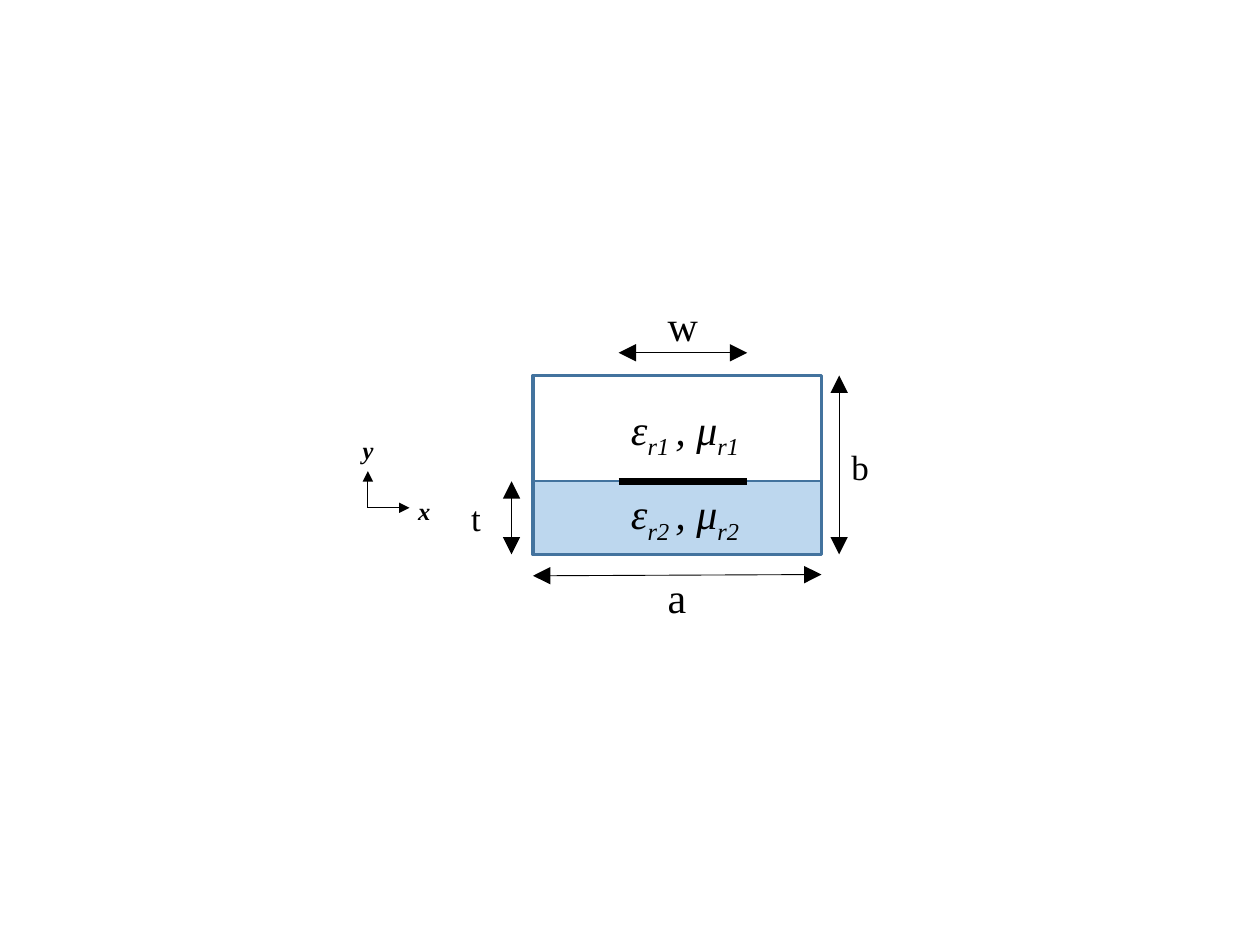
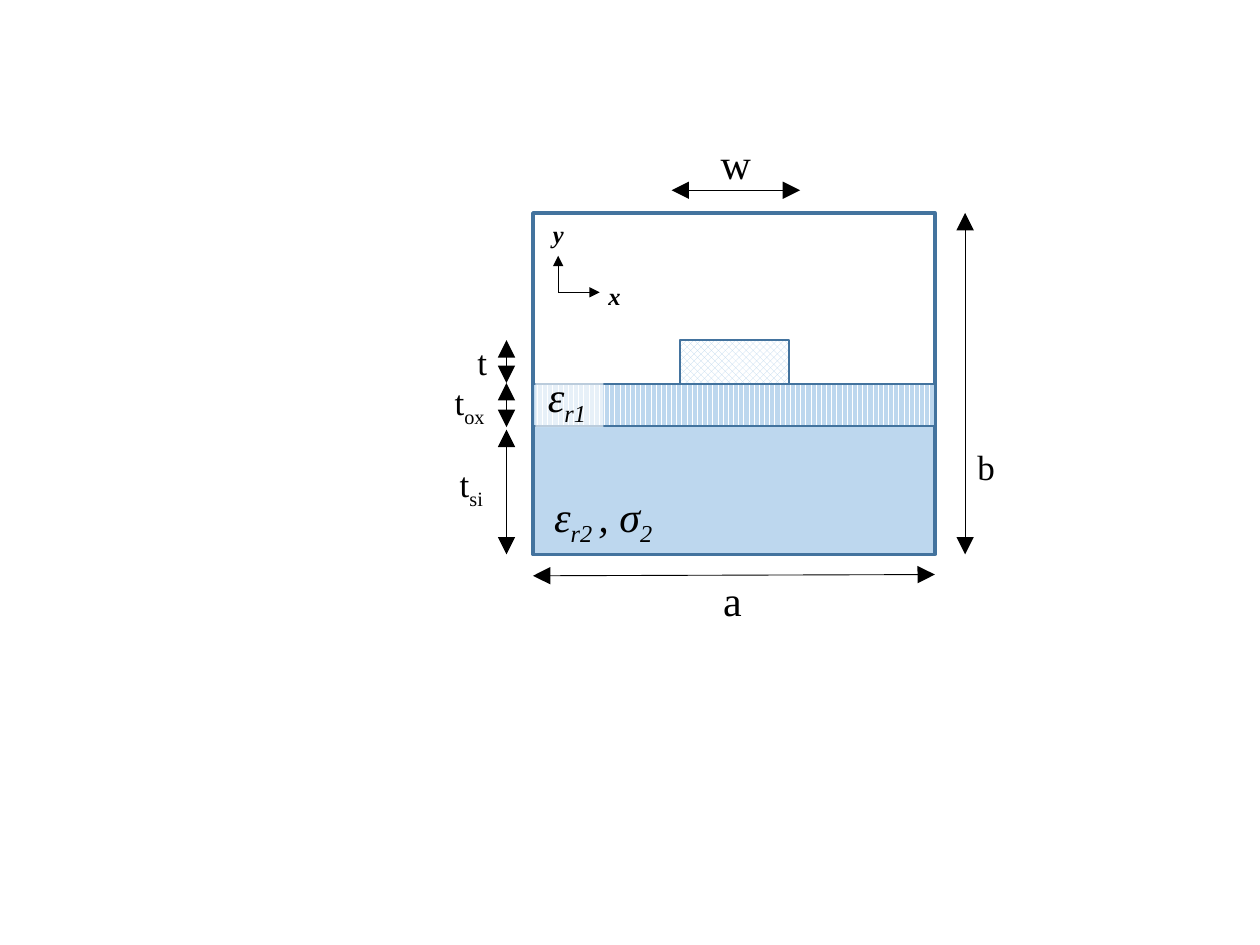
"""Draw two shielded line cross sections with their dimensions."""
from typing import Any, NamedTuple, Optional

import lxml.etree
import pptx
import pptx.dml.color
import pptx.enum.dml
import pptx.enum.shapes
import pptx.enum.text
import pptx.oxml.ns
import pptx.util

RGB = pptx.dml.color.RGBColor
PATTERN = pptx.enum.dml.MSO_PATTERN
BLUE = RGB(0xBD, 0xD7, 0xEE)
EDGE = RGB(0x43, 0x73, 0x9E)
BLACK = RGB(0, 0, 0)
WHITE = RGB(255, 255, 255)
FONT = "Times New Roman"
SCALE = 9144
LEFT, BASE = 423, 440
HEIGHTS = {14: 34, 20: 44, 24: 50}
ITALIC = {"italic": True}
AXIS = {"bold": True, "italic": True}


class Block(NamedTuple):
    """A rectangle with a plain, patterned or empty fill."""
    x: int
    y: int
    width: int
    height: int
    color: Optional[RGB] = BLUE
    pattern: Any = None
    weight: int = 1


class Label(NamedTuple):
    """Text whose odd parts between underscores are subscripts."""
    x: int
    y: int
    width: int
    text: str
    size: int = 20
    style: dict = {}


class Rule(NamedTuple):
    """A straight line, with arrowheads of one size at its ends."""
    x1: int
    y1: int
    x2: int
    y2: int
    head: str = "lg"
    ends: tuple = ("headEnd", "tailEnd")
    weight: float = 0.5


def px(*values: int) -> list:
    """Turn px into EMU."""
    return [pptx.util.Emu(value * SCALE) for value in values]


def apply(target: Any, values: dict) -> None:
    """Set each named value on the target."""
    for name, value in values.items():
        setattr(target, name, value)


def add_tag(parent: Any, name: str, **values: str) -> None:
    """Append a drawing element."""
    lxml.etree.SubElement(parent, pptx.oxml.ns.qn(f"a:{name}"), values)


def draw_block(shapes: Any, block: Block) -> None:
    """Draw one rectangle."""
    kind = pptx.enum.shapes.MSO_SHAPE.RECTANGLE
    shape = shapes.add_shape(kind, *px(*block[:4]))
    shape.shadow.inherit = False
    shape.line.color.rgb = EDGE
    shape.line.width = pptx.util.Pt(block.weight)
    if block.color is None:
        shape.fill.background()
    elif block.pattern is None:
        shape.fill.solid()
        shape.fill.fore_color.rgb = block.color
    else:
        shape.fill.patterned()
        shape.fill.pattern = block.pattern
        shape.fill.fore_color.rgb = block.color
        shape.fill.back_color.rgb = WHITE


def draw_label(shapes: Any, label: Label) -> Any:
    """Draw one label and return its box."""
    size = px(label.x, label.y, label.width, HEIGHTS[label.size])
    box = shapes.add_textbox(*size)
    fit = pptx.enum.text.MSO_AUTO_SIZE.SHAPE_TO_FIT_TEXT
    apply(box.text_frame, {"word_wrap": False, "auto_size": fit})
    base = {"name": FONT, "size": pptx.util.Pt(label.size)}
    for index, text in enumerate(label.text.split("_")):
        if text:
            run = box.text_frame.paragraphs[0].add_run()
            run.text = text
            apply(run.font, base | label.style)
            run.font.color.rgb = BLACK
            if index % 2:
                run._r.get_or_add_rPr().set("baseline", "-25000")
    return box


def draw_rule(shapes: Any, rule: Rule) -> None:
    """Draw one line or arrow."""
    kind = pptx.enum.shapes.MSO_CONNECTOR.STRAIGHT
    line = shapes.add_connector(kind, *px(*rule[:4]))
    line.line.color.rgb = BLACK
    line.line.width = pptx.util.Pt(rule.weight)
    props = line._element.spPr
    for end in rule.ends:
        add_tag(props.find(pptx.oxml.ns.qn("a:ln")), end,
                type="triangle", w=rule.head, len=rule.head)
    add_tag(props, "effectLst")


def draw_all(shapes: Any, *items: Any) -> None:
    """Draw items in order from back to front."""
    tools = {Block: draw_block, Label: draw_label, Rule: draw_rule}
    for item in items:
        tools[type(item)](shapes, item)


def draw_frame(shapes: Any, width: int, top: int, layer: int, gap: int,
               note: Label) -> None:
    """Draw the filled layer, the shield and its outer dimensions."""
    right = LEFT + width
    side = right + gap
    draw_all(shapes,
             Block(LEFT, layer, width, BASE - layer),
             Block(LEFT, top, width, BASE - top, None, weight=2),
             Rule(side, top, side, BASE),
             Rule(right, 456, LEFT, 457),
             Label(side, 349, 34, "b"),
             note)


def draw_axes(shapes: Any, x: int, y: int) -> None:
    """Draw the x and y axes from their origin."""
    draw_all(shapes.add_group_shape().shapes,
             Rule(x + 33, y, x, y, "med", ("headEnd",)),
             Rule(x, y - 29, x, y, "med", ("headEnd",)),
             Label(x + 30, y - 14, 30, "x", 14, AXIS),
             Label(x - 14, y - 63, 30, "y", 14, AXIS))


def draw_strip(shapes: Any, x: int, y: int) -> None:
    """Draw the strip width dimension."""
    draw_all(shapes.add_group_shape().shapes,
             Rule(x + 102, y, x, y),
             Label(x + 29, y - 47, 45, "w", 24))


def draw_thin(shapes: Any) -> None:
    """Draw the section with a thin strip."""
    draw_frame(shapes, 229, 298, 382, 14, Label(520, 449, 35, "a", 24))
    draw_all(shapes,
             Label(491, 382, 113, "ε_r2 _, μ_r2", 24, ITALIC),
             Label(491, 315, 113, "ε_r1 _, μ_r1", 24, ITALIC),
             Rule(406, 382, 406, BASE),
             Label(364, 389, 28, "t"))
    draw_axes(shapes, 292, 403)
    draw_all(shapes, Rule(491, 382, 593, 382, ends=(), weight=4))
    draw_strip(shapes, 491, 280)


def draw_thick(shapes: Any) -> None:
    """Draw the section with a thick strip on an oxide layer."""
    draw_frame(shapes, 319, 169, 337, 24, Label(564, 451, 35, "a", 24))
    draw_all(shapes, Label(430, 384, 104, "ε_r2 _, σ_2", 24, ITALIC))
    oxide = shapes.add_group_shape().shapes
    draw_all(oxide,
             Block(LEFT, 305, 319, 33, pattern=PATTERN.DARK_VERTICAL))
    mask = draw_label(oxide, Label(425, 289, 54, "ε_r1", 24, ITALIC))
    mask.fill.solid()
    mask.fill.fore_color.rgb = WHITE
    tint = next(mask._element.spPr.iter(pptx.oxml.ns.qn("a:srgbClr")))
    add_tag(tint, "alpha", val="64000")
    draw_all(shapes.add_group_shape().shapes,
             Rule(402, 270, 402, 304),
             Label(369, 265, 28, "t"),
             Rule(402, 304, 402, 339),
             Label(351, 297, 46, "t_ox"))
    draw_axes(shapes, 443, 232)
    draw_strip(shapes, 533, 151)
    draw_all(shapes,
             Block(540, 270, 86, 35, pattern=PATTERN.LARGE_CHECKER_BOARD),
             Rule(402, 341, 402, BASE),
             Label(355, 362, 41, "t_si"))


def main() -> None:
    """Build and save both slides."""
    deck = pptx.Presentation()
    width, height = px(1000, 750)
    apply(deck, {"slide_width": width, "slide_height": height})
    for draw in (draw_thin, draw_thick):
        draw(deck.slides.add_slide(deck.slide_layouts[6]).shapes)
    deck.save("out.pptx")


if __name__ == "__main__":
    main()
